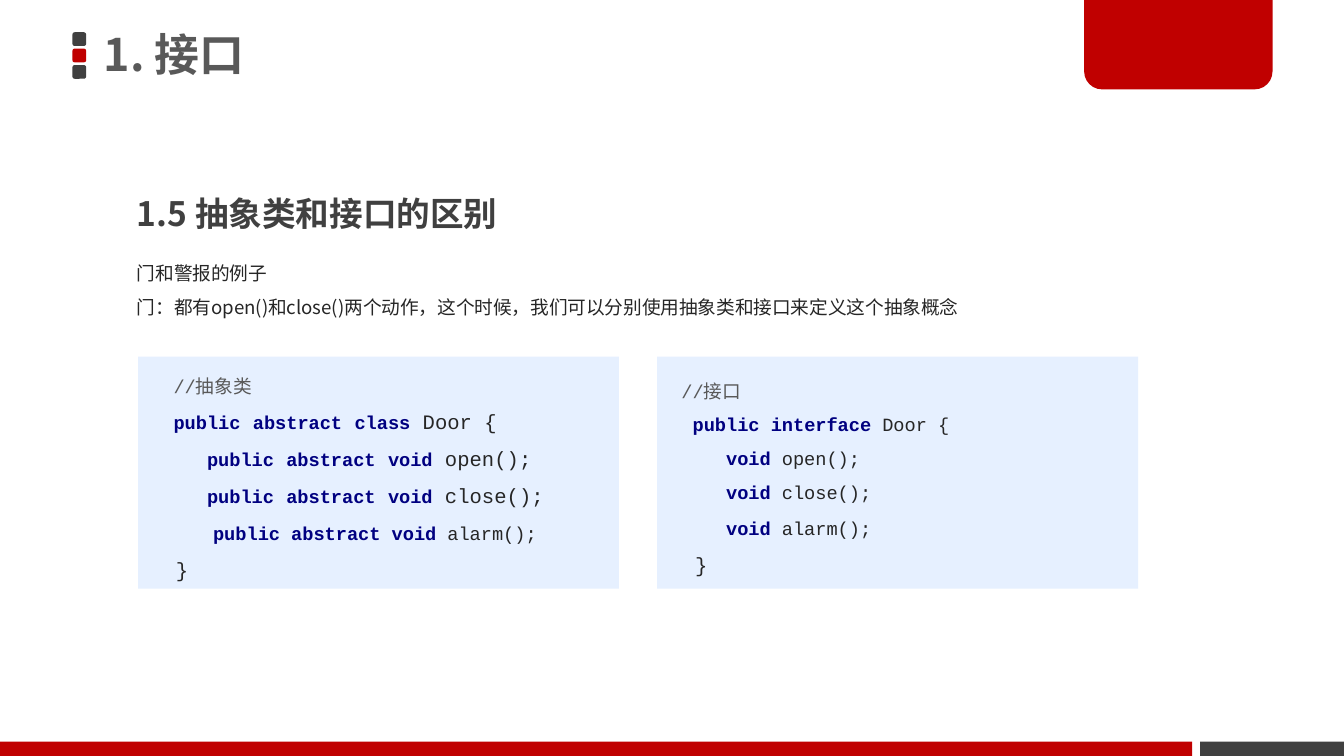
from dataclasses import dataclass

from lxml.etree import SubElement
from pptx import Presentation
from pptx.dml.color import RGBColor
from pptx.enum.shapes import MSO_SHAPE as Preset
from pptx.enum.text import MSO_ANCHOR as Anchor, PP_ALIGN as Align
from pptx.oxml.ns import qn
from pptx.util import Cm, Pt

RED = RGBColor(0xC0, 0x00, 0x00)
CHARCOAL = RGBColor(0x40, 0x40, 0x40)
GREY = RGBColor(0x59, 0x59, 0x59)
INK = RGBColor(0x26, 0x26, 0x26)
NAVY = RGBColor(0x00, 0x00, 0x80)
PALE_BLUE = RGBColor(0xE6, 0xF0, 0xFF)
SANS = "Noto Sans CJK SC"
MONO = "Courier New"


@dataclass(frozen=True)
class Style:
    size: float
    color: RGBColor
    bold: bool = False


@dataclass(frozen=True)
class Box:
    left: float
    top: float
    width: float
    height: float

    def lengths(self) -> tuple:
        return Cm(self.left), Cm(self.top), Cm(self.width), Cm(self.height)


@dataclass(frozen=True)
class Piece:
    text: str
    style: Style


@dataclass(frozen=True)
class Block:
    box: Box
    lines: list[list[Piece]]
    typeface: str = SANS
    spacing: float = 1.5
    anchor: Anchor = Anchor.TOP


TITLE = Style(24, GREY, True)
HEADING = Style(18, CHARCOAL, True)
BODY = Style(10, INK)
COMMENT = Style(10, GREY)
KEYWORD = Style(10, NAVY, True)
CODE = Style(10, INK)
LARGE_CODE = Style(11, INK)
LARGE_INDENT = Style(11, INK, True)


def apply_style(font, style: Style) -> None:
    font.size = Pt(style.size)
    font.bold = style.bold
    font.color.rgb = style.color


def write(frame, block: Block) -> None:
    frame.word_wrap = True
    frame.vertical_anchor = block.anchor
    for index, line in enumerate(block.lines):
        paragraph = frame.paragraphs[0] if index == 0 else frame.add_paragraph()
        paragraph.alignment = Align.LEFT
        paragraph.line_spacing = block.spacing
        paragraph.font.name = block.typeface
        uniform = len({piece.style for piece in line}) == 1
        if uniform:
            apply_style(paragraph.font, line[0].style)
        defaults = paragraph._p.get_or_add_pPr().get_or_add_defRPr()
        SubElement(defaults, qn("a:ea")).set("typeface", SANS)
        for piece in line:
            run = paragraph.add_run()
            run.text = piece.text
            if not uniform:
                apply_style(run.font, piece.style)


def add_filled(shapes, preset: Preset, box: Box, color: RGBColor):
    shape = shapes.add_shape(preset, *box.lengths())
    shape.shadow.inherit = False
    shape.fill.solid()
    shape.fill.fore_color.rgb = color
    shape.line.fill.background()
    return shape


def add_text(shapes, block: Block) -> None:
    write(shapes.add_textbox(*block.box.lengths()).text_frame, block)


def add_code_panel(shapes, block: Block) -> None:
    panel = add_filled(shapes, Preset.RECTANGLE, block.box, PALE_BLUE)
    write(panel.text_frame, block)


def abstract_line(indent: str, kind: str, rest: str) -> list[Piece]:
    gap = Piece(" ", LARGE_CODE)
    return [Piece(indent + "public", KEYWORD), gap, Piece("abstract", KEYWORD), gap,
            Piece(kind, KEYWORD), Piece(rest, LARGE_CODE)]


def plain_line(keywords: str, rest: str) -> list[Piece]:
    return [Piece(keywords, KEYWORD), Piece(rest, CODE)]


CLOSING = [Piece("  }", LARGE_CODE)]
LINE_END = Piece("\t", LARGE_CODE)

abstract_class = [
    [Piece("  //抽象类", COMMENT)],
    abstract_line("  ", "class", " Door {"),
    abstract_line("     ", "void", " open();"),
    abstract_line("     ", "void", " close();"),
    [Piece("     ", LARGE_INDENT), *plain_line("public abstract void", " alarm();"), LINE_END],
    CLOSING,
]
interface = [
    [Piece(" //接口", COMMENT)],
    plain_line("  public interface", " Door {"),
    plain_line("     void", " open();"),
    plain_line("     void", " close();"),
    [*plain_line("     void", " alarm();"), LINE_END],
    CLOSING,
]
example = [
    [Piece("门和警报的例子", BODY)],
    [Piece("门：都有open()和close()两个动作，这个时候，我们可以分别使用抽象类和接口来定义这个抽象概念", BODY)],
]


def main() -> None:
    deck = Presentation()
    deck.slide_width, deck.slide_height = Cm(25.4), Cm(14.29)
    shapes = deck.slides.add_slide(deck.slide_layouts[6]).shapes

    for row, color in enumerate((CHARCOAL, RED, CHARCOAL)):
        add_filled(shapes, Preset.ROUNDED_RECTANGLE, Box(1.37, 0.61 + 0.31 * row, 0.26, 0.26), color)
    add_filled(shapes, Preset.RECTANGLE, Box(22.68, 14.02, 2.72, 0.27), CHARCOAL)
    corner_tab = add_filled(shapes, Preset.ROUND_2_SAME_RECTANGLE, Box(20.49, 0, 3.56, 1.69), RED)
    corner_tab.adjustments[0], corner_tab.adjustments[1] = 0, 0.2
    add_filled(shapes, Preset.RECTANGLE, Box(0, 14.02, 22.53, 0.27), RED)

    add_text(shapes, Block(Box(1.71, -0.05, 14.96, 2.26), [[Piece("1. 接口", TITLE)]],
                           spacing=0.9, anchor=Anchor.MIDDLE))
    add_text(shapes, Block(Box(2.34, 3.15, 9.75, 1.4), [[Piece("1.5 抽象类和接口的区别", HEADING)]]))
    add_text(shapes, Block(Box(2.34, 4.62, 21.56, 2.79), example))

    for column, lines in enumerate((abstract_class, interface)):
        box = Box(2.61 + 9.81 * column, 6.74, 9.09, 4.39)
        add_code_panel(shapes, Block(box, lines, MONO, anchor=Anchor.MIDDLE))

    deck.save("out.pptx")


if __name__ == "__main__":
    main()
